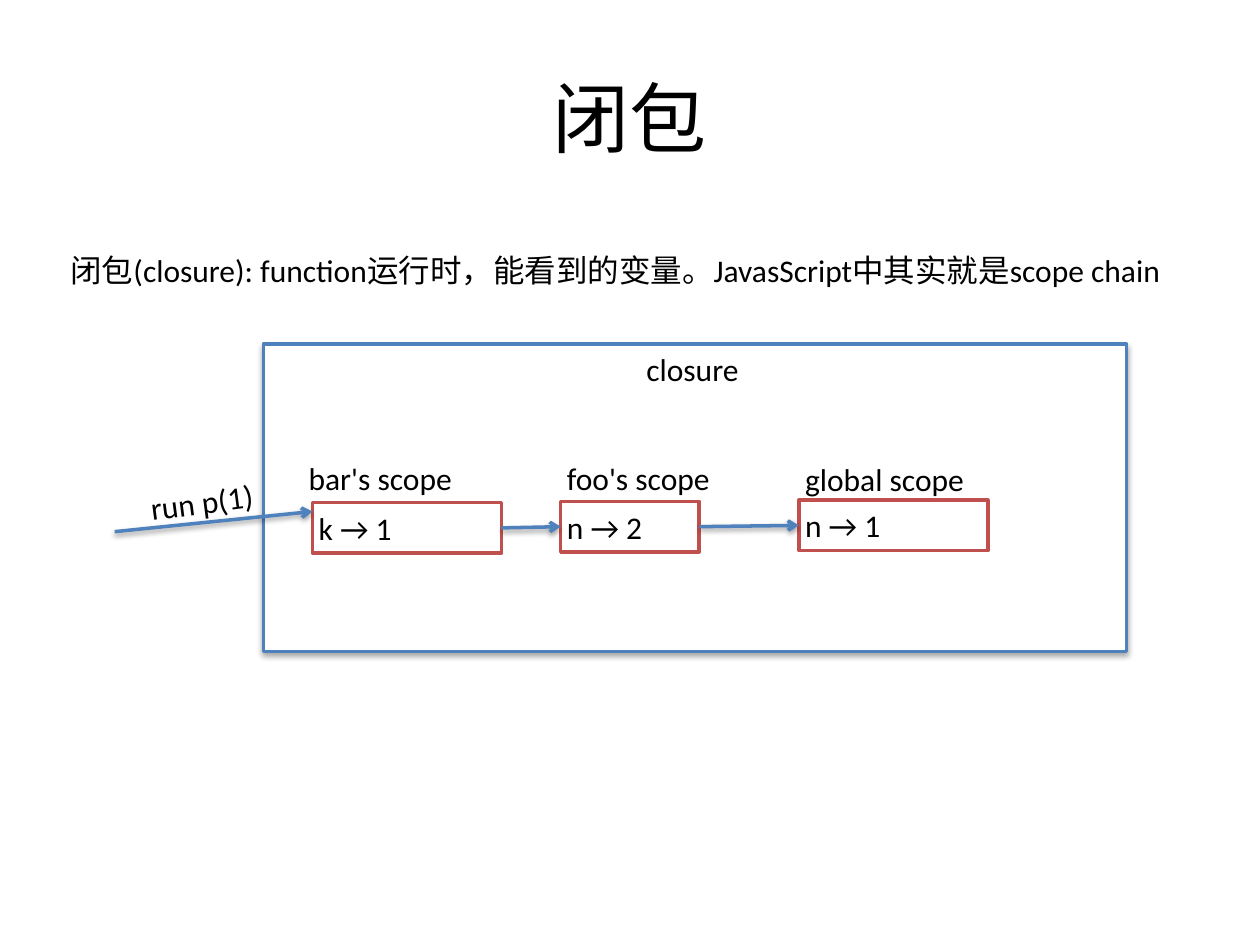
import pptx
import pptx.dml.color
import pptx.enum.shapes
import pptx.enum.text
import pptx.oxml
import pptx.oxml.ns
import pptx.util
from dataclasses import dataclass

Inches = pptx.util.Inches
Align = pptx.enum.text.PP_ALIGN
Anchor = pptx.enum.text.MSO_ANCHOR


@dataclass(frozen=True)
class Theme:
    """Colours and type sizes of the slide."""
    font: str = "Calibri"
    ink: str = "000000"
    paper: str = "FFFFFF"
    blue: str = "4F81BD"
    red: str = "C0504D"
    title_size: int = 44
    text_size: int = 18
    line_width: int = 2


class ScopeSlide:
    """Holds the theme and the current page, and draws its elements."""

    def __init__(self, page, theme):
        """Keep the page and the theme."""
        self.page = page
        self.theme = theme

    def set_text(self, box, text, size, align=Align.LEFT, anchor=Anchor.TOP):
        """Put formatted text into a box."""
        frame = box.text_frame
        frame.text = text
        frame.word_wrap = True
        frame.vertical_anchor = anchor
        for paragraph in frame.paragraphs:
            paragraph.alignment = align
            for span in paragraph.runs:
                span.font.name = self.theme.font
                span.font.size = pptx.util.Pt(size)
                span.font.color.rgb = pptx.dml.color.RGBColor.from_string(self.theme.ink)
        return frame

    def body_text(self, box, text, anchor=Anchor.TOP):
        """Set text of the body size with narrow insets."""
        frame = self.set_text(box, text, self.theme.text_size, anchor=anchor)
        frame.margin_left = frame.margin_right = Inches(0.05)
        frame.margin_top = frame.margin_bottom = Inches(0.05)

    def title(self, text, left, top, width, height):
        """Place and fill the title placeholder."""
        box = self.page.shapes.title
        box.left, box.top = Inches(left), Inches(top)
        box.width, box.height = Inches(width), Inches(height)
        self.set_text(box, text, self.theme.title_size, Align.CENTER, Anchor.MIDDLE)

    def label(self, text, left, top, width, height=0.4, rotation=0):
        """Add a free text label."""
        box = self.page.shapes.add_textbox(
            Inches(left), Inches(top), Inches(width), Inches(height))
        box.rotation = rotation
        self.body_text(box, text)

    def frame(self, left, top, width, height, color):
        """Add a white rectangle with a coloured outline."""
        box = self.page.shapes.add_shape(
            pptx.enum.shapes.MSO_SHAPE.RECTANGLE,
            Inches(left), Inches(top), Inches(width), Inches(height))
        box.shadow.inherit = False
        box.fill.solid()
        box.fill.fore_color.rgb = pptx.dml.color.RGBColor.from_string(self.theme.paper)
        self.outline(box.line, color)
        return box

    def outline(self, line, color):
        """Give a line its colour and the common width."""
        line.color.rgb = pptx.dml.color.RGBColor.from_string(color)
        line.width = pptx.util.Pt(self.theme.line_width)

    def arrow(self, start, end):
        """Add a shadowed arrow between two points."""
        arrow = self.page.shapes.add_connector(
            pptx.enum.shapes.MSO_CONNECTOR.STRAIGHT,
            *(Inches(value) for value in (*start, *end)))
        self.outline(arrow.line, self.theme.blue)
        head = pptx.oxml.parse_xml(
            f'<a:tailEnd {pptx.oxml.ns.nsdecls("a")} type="arrow"/>')
        arrow._element.spPr.find(pptx.oxml.ns.qn("a:ln")).append(head)
        self.drop_shadow(arrow, 1.6, 38)

    def drop_shadow(self, shape, distance, opacity):
        """Cast a soft shadow straight down."""
        properties = shape._element.spPr
        for effects in properties.findall(pptx.oxml.ns.qn("a:effectLst")):
            properties.remove(effects)
        properties.append(pptx.oxml.parse_xml(
            f'<a:effectLst {pptx.oxml.ns.nsdecls("a")}>'
            f'<a:outerShdw blurRad="{int(pptx.util.Pt(3))}"'
            f' dist="{int(pptx.util.Pt(distance))}"'
            f' dir="5400000" rotWithShape="0"><a:srgbClr val="{self.theme.ink}">'
            f'<a:alpha val="{opacity * 1000}"/></a:srgbClr></a:outerShdw></a:effectLst>'))


def main():
    """Build the closure slide."""
    deck = pptx.Presentation()
    deck.slide_width, deck.slide_height = Inches(10), Inches(7.5)
    theme = Theme()
    slide = ScopeSlide(deck.slides.add_slide(deck.slide_layouts[5]), theme)

    closure = slide.frame(2.09, 2.73, 6.85, 2.44, theme.blue)
    slide.drop_shadow(closure, 1.8, 35)
    slide.title("闭包", 0.5, 0.3, 9, 1.25)
    slide.label("闭包(closure): function运行时，能看到的变量。"
                "JavasScript中其实就是scope chain", 0.51, 1.94, 8.9)
    slide.label("closure", 5.08, 2.73, 2.13)
    slide.label("run p(1)", 1.14, 3.75, 1.42, rotation=352.5)

    # name, variable, box left, top and width, label left and top
    scopes = [
        ("bar's scope", "k → 1", 2.48, 3.99, 1.5, 2.4, 3.59),
        ("foo's scope", "n → 2", 4.45, 3.98, 1.1, 4.45, 3.59),
        ("global scope", "n → 1", 6.34, 3.97, 1.5, 6.34, 3.6),
    ]
    height = 0.4
    start, end = (0.91, 4.22), (2.48, 4.06)
    for name, variable, left, top, width, label_left, label_top in scopes:
        box = slide.frame(left, top, width, height, theme.red)
        slide.body_text(box, variable, Anchor.MIDDLE)
        slide.label(name, label_left, label_top, 2.36)
        middle = top + height / 2
        slide.arrow(start, end or (left, middle))
        start, end = (left + width, middle), None

    deck.save("out.pptx")


main()
